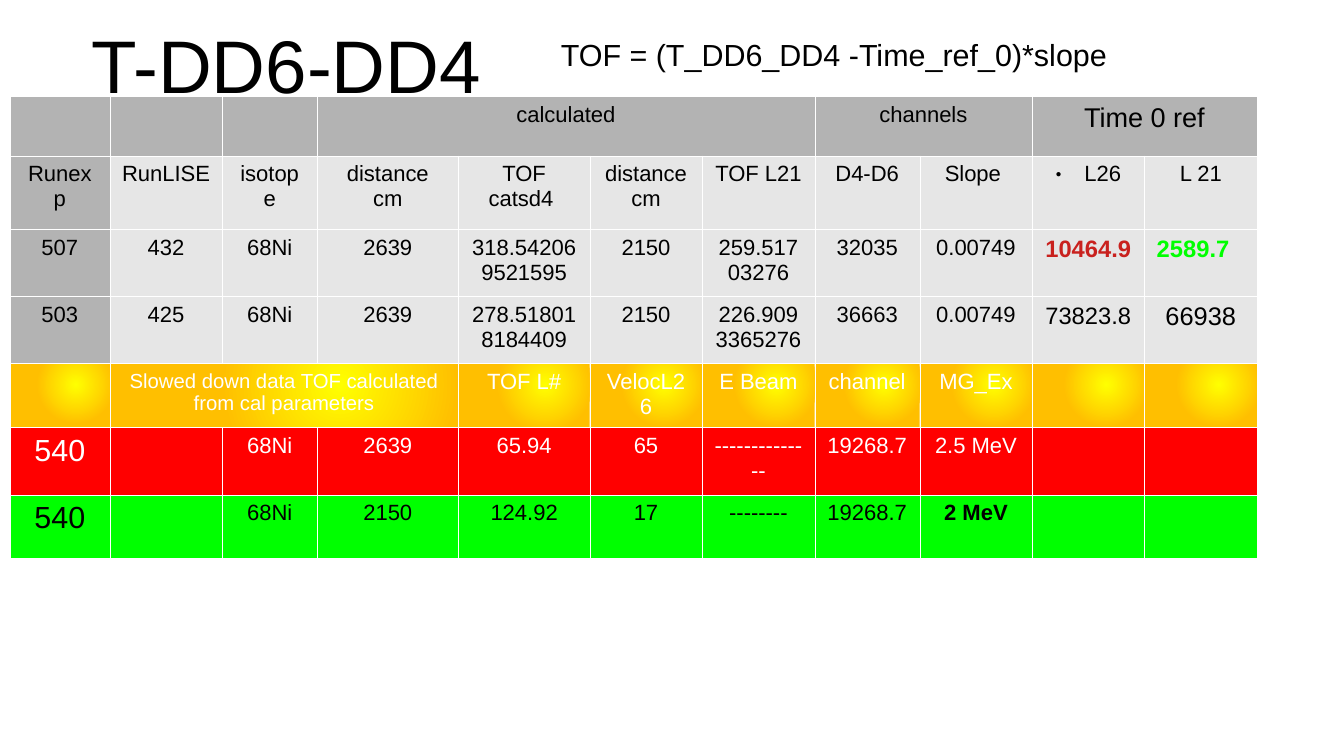
from lxml.etree import SubElement as Sub
from pptx import Presentation
from pptx.dml.color import RGBColor as Rgb
from pptx.enum.text import MSO_ANCHOR as Anchor, MSO_AUTO_SIZE as Auto, PP_ALIGN as Align
from pptx.oxml.ns import qn
from pptx.util import Pt

BLACK = Rgb(0x00, 0x00, 0x00)
WHITE = Rgb(0xFF, 0xFF, 0xFF)
GREY = Rgb(0xB3, 0xB3, 0xB3)
PALE = Rgb(0xE6, 0xE6, 0xE6)
RED = Rgb(0xFF, 0x00, 0x00)
DARK = Rgb(0xC9, 0x21, 0x1E)
GREEN = Rgb(0x00, 0xFF, 0x00)
GLOW = Rgb(0xFF, 0xFF, 0x00)
AMBER = Rgb(0xFF, 0xBF, 0x00)

# Table content: empty strings are blank or merged cells
ROWS = [
    ["", "", "", "calculated", "", "", "", "channels", "", "Time 0 ref", ""],
    ["Runexp", "RunLISE", "isotope", "distance cm", "TOF catsd4 ", "distance cm",
     "TOF L21", "D4-D6", "Slope ", "L26", "L 21"],
    ["507", "432", "68Ni", "2639", "318.542069521595", "2150",
     "259.51703276", "32035", "0.00749", "10464.9", "2589.7"],
    ["503", "425", "68Ni", "2639", "278.518018184409", "2150",
     "226.9093365276", "36663", "0.00749", "73823.8", "66938"],
    ["", "Slowed down data TOF calculated from cal parameters", "", "",
     "TOF L#", "VelocL26", "E Beam", "channel", "MG_Ex", "", ""],
    ["540", "", "68Ni", "2639", "65.94", "65", "--------------",
     "19268.7", "2.5 MeV", "", ""],
    ["540", "", "68Ni", "2150", "124.92", "17", "--------",
     "19268.7", "2 MeV", "", ""],
]
WIDTHS = [59, 66.4, 56, 83.5, 77.5, 66.4, 66.4, 62, 66.4, 66.4, 66.4]
HEIGHTS = [35, 43.5, 39.6, 39.6, 37.8, 39.6, 37.4]
SPANS = [(0, 3, 6), (0, 7, 8), (0, 9, 10), (4, 1, 3)]

# Row fills (None is the radial glow) and text colours
FILLS = [GREY, PALE, PALE, PALE, None, RED, GREEN]
INKS = [BLACK] * 4 + [WHITE] * 2 + [BLACK]

# Cells whose text differs from the rest
ODD = {
    (0, 9): {"size": Pt(16)},
    (2, 9): {"size": Pt(14), "bold": True, "color": DARK},
    (2, 10): {"size": Pt(14), "bold": True, "color": GREEN, "align": Align.LEFT},
    (3, 9): {"size": Pt(14)},
    (3, 10): {"size": Pt(15)},
    (4, 1): {"size": Pt(12)},
    (5, 0): {"size": Pt(18)},
    (6, 0): {"size": Pt(18)},
    (6, 8): {"bold": True},
}


class Deck:
    """Holds the base text style and the current slide."""

    base = {"name": "Arial", "size": Pt(13), "bold": False,
            "color": BLACK, "align": Align.CENTER}

    def __init__(self, wide, high):
        self.prs = Presentation()
        self.prs.slide_width, self.prs.slide_height = Pt(wide), Pt(high)
        self.slide = self.prs.slides.add_slide(self.prs.slide_layouts[5])

    def label(self, frame, text, **form):
        form = {**self.base, **form}
        para = frame.paragraphs[0]
        para.alignment = form.pop("align")
        run = para.add_run()
        run.text = text
        run.font.color.rgb = form.pop("color")
        for key, value in form.items():
            setattr(run.font, key, value)

    def title(self, text, left, top, wide, high):
        shape = self.slide.shapes.title
        box = {"left": left, "top": top, "width": wide, "height": high}
        for key, value in box.items():
            setattr(shape, key, Pt(value))
        frame = shape.text_frame
        form = {"margin_left": 0, "margin_right": 0, "margin_top": 0,
                "margin_bottom": 0, "vertical_anchor": Anchor.MIDDLE,
                "word_wrap": True, "auto_size": Auto.NONE}
        for key, value in form.items():
            setattr(frame, key, value)
        self.label(frame, text, size=Pt(44))

    def note(self, text, left, top, wide, high):
        box = self.slide.shapes.add_textbox(Pt(left), Pt(top), Pt(wide), Pt(high))
        box.text_frame.word_wrap = True
        self.label(box.text_frame, text, size=Pt(18), align=Align.LEFT)

    def table(self, left, top):
        grid = self.slide.shapes.add_table(
            len(ROWS), len(WIDTHS), Pt(left), Pt(top),
            Pt(sum(WIDTHS)), Pt(sum(HEIGHTS))).table
        grid.first_row = grid.horz_banding = False
        for col, wide in zip(grid.columns, WIDTHS):
            col.width = Pt(wide)
        for row, high in zip(grid.rows, HEIGHTS):
            row.height = Pt(high)
        for row, first, last in SPANS:
            grid.cell(row, first).merge(grid.cell(row, last))
        for r, texts in enumerate(ROWS):
            for c, text in enumerate(texts):
                cell = grid.cell(r, c)
                self.edge(cell)
                if FILLS[r] is None:
                    self.glow(cell)
                else:
                    cell.fill.solid()
                    side = c == 0 and r < 4
                    cell.fill.fore_color.rgb = GREY if side else FILLS[r]
                if text:
                    form = {"color": INKS[r], **ODD.get((r, c), {})}
                    self.label(cell.text_frame, text, **form)
        return grid

    def edge(self, cell):
        props = cell._tc.get_or_add_tcPr()
        for tag in ("a:lnL", "a:lnR", "a:lnT", "a:lnB"):
            line = Sub(props, qn(tag), w=str(Pt(0.06)))
            fill = Sub(line, qn("a:solidFill"))
            Sub(fill, qn("a:srgbClr"), val=str(WHITE))

    def glow(self, cell):
        grad = Sub(cell._tc.get_or_add_tcPr(), qn("a:gradFill"))
        stops = Sub(grad, qn("a:gsLst"))
        for pos, color in ((0, GLOW), (67000, AMBER)):
            stop = Sub(stops, qn("a:gs"), pos=str(pos))
            Sub(stop, qn("a:srgbClr"), val=str(color))
        ring = Sub(grad, qn("a:path"), {"path": "circle"})
        Sub(ring, qn("a:fillToRect"), l="66000", t="33000", r="34000", b="67000")

    def bullet(self, cell, dent):
        props = cell.text_frame.paragraphs[0]._p.get_or_add_pPr()
        props.set("marL", str(Pt(dent)))
        props.set("indent", str(Pt(-dent)))
        Sub(Sub(props, qn("a:buClr")), qn("a:srgbClr"), val=str(BLACK))
        Sub(props, qn("a:buSzPct"), val="45000")
        Sub(props, qn("a:buFont"), typeface="Arial")
        Sub(props, qn("a:buChar"), char="●")


def main():
    deck = Deck(793.44, 446.4)
    # Heading
    deck.title("T-DD6-DD4", 0, 0, 338.4, 75)
    # Run table
    grid = deck.table(5.8, 57)
    deck.bullet(grid.cell(1, 9), 17)
    # Formula
    deck.note("TOF = (T_DD6_DD4 -Time_ref_0)*slope", 324, 18, 414, 27.4)
    deck.prs.save("out.pptx")


if __name__ == "__main__":
    main()
